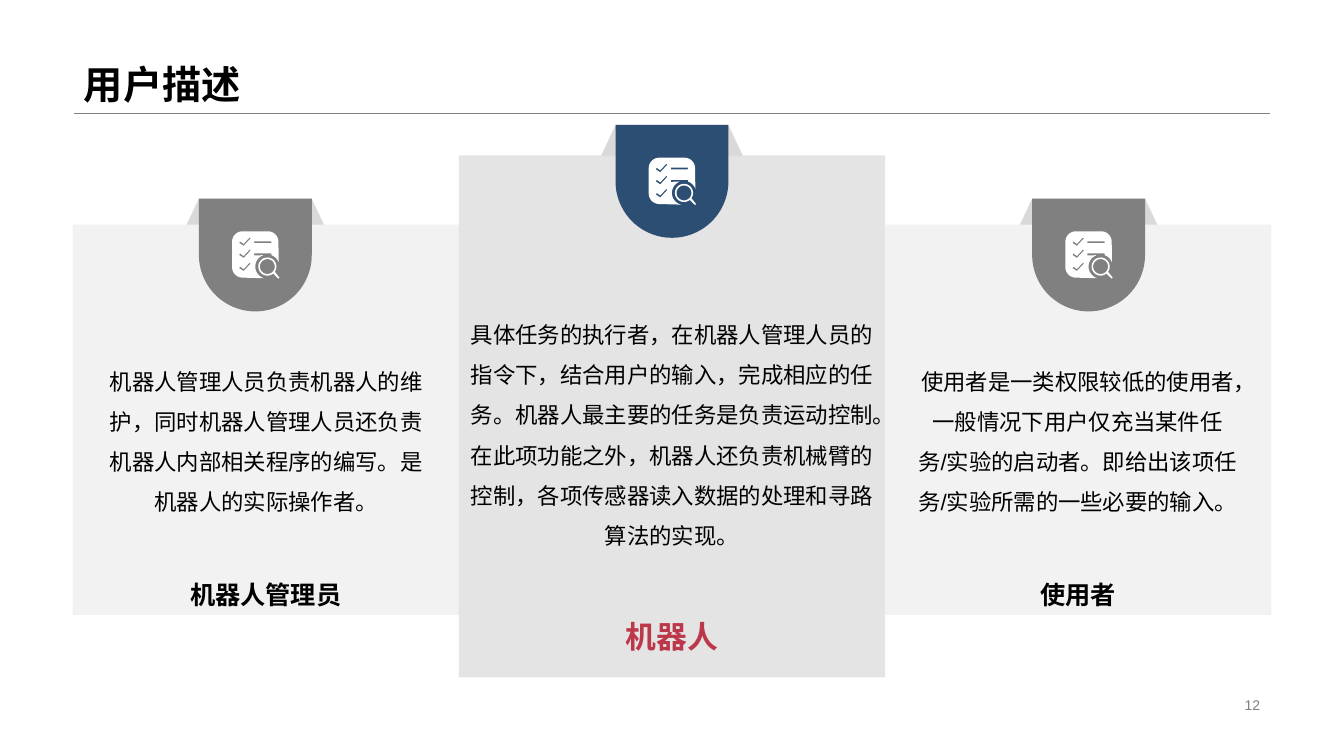
from dataclasses import dataclass
from math import cos, radians, sin

from lxml import etree
from pptx import Presentation
from pptx import util as u
from pptx.dml.color import RGBColor
from pptx.enum import lang, shapes, text
from pptx.oxml.ns import qn

BLACK = RGBColor(0x00, 0x00, 0x00)
WHITE = RGBColor(0xFF, 0xFF, 0xFF)
GREY = RGBColor(0x80, 0x80, 0x80)
SILVER = RGBColor(0xD9, 0xD9, 0xD9)
PALE = RGBColor(0xF2, 0xF2, 0xF2)
NAVY = RGBColor(0x2B, 0x4E, 0x72)
RED = RGBColor(0xBD, 0x37, 0x4A)

WIDTH, HEIGHT = u.Inches(13.33), u.Inches(7.5)
CENTRE, RIGHT = text.PP_ALIGN.CENTER, text.PP_ALIGN.RIGHT
BADGE_W, BADGE_H = 8.4, 14.93
TAB_W, TAB_H = 10.58, 4.13
Box = tuple[float, float, float, float]
Point = tuple[float, float]


@dataclass
class Role:
    """One user role; boxes are left, top, width, height in percent of the slide."""
    name: str
    description: str
    card: Box
    body: Box
    badge_centre: float
    badge_top: float
    badge_colour: RGBColor = GREY
    card_colour: RGBColor = PALE
    opacity: int = 100
    name_size: int = 18
    name_colour: RGBColor = BLACK
    bottom_inset: float = 0.05


ROLES = [
    Role("机器人管理员",
         "机器人管理人员负责机器人的维护，同时机器人管理人员还负责机器人内部相关程序的编写。是机器人的实际操作者。",
         (5.4, 29.73, 28.75, 51.6), (6.8, 42.8, 26.03, 29.47), 19, 26.27),
    Role("机器人",
         "具体任务的执行者，在机器人管理人员的指令下，结合用户的输入，完成相应的任务。机器人最主要的任务是负责运动控制。"
         "在此项功能之外，机器人还负责机械臂的控制，各项传感器读入数据的处理和寻路算法的实现。",
         (34.15, 20.55, 31.7, 69.05), (34.15, 37.2, 31.7, 38.93), 50, 16.53,
         NAVY, SILVER, 70, 22, RED, 0.23),
    Role("使用者",
         "使用者是一类权限较低的使用者，一般情况下用户仅充当某件任务/实验的启动者。即给出该项任务/实验所需的一些必要的输入。",
         (65.85, 29.73, 28.75, 51.6), (67.17, 42.8, 26.03, 29.47), 81, 26.27),
]


def across(share: float) -> u.Emu:
    return u.Emu(round(WIDTH * share / 100))


def down(share: float) -> u.Emu:
    return u.Emu(round(HEIGHT * share / 100))


def place(box: Box) -> tuple[u.Emu, ...]:
    left, top, width, height = box
    return across(left), down(top), across(width), down(height)


def write(frame, words: str, anchor, size: int, colour: RGBColor = BLACK,
          bold: bool = False, align=CENTRE, spacing: float = 1.0) -> None:
    frame.text = words
    paragraph = frame.paragraphs[0]
    run_font = paragraph.runs[0].font
    formats = (
        (frame, {"word_wrap": True, "auto_size": text.MSO_AUTO_SIZE.NONE,
                 "vertical_anchor": anchor}),
        (paragraph, {"alignment": align, "line_spacing": spacing}),
        (run_font, {"name": "Arial", "size": u.Pt(size), "bold": bold,
                    "language_id": lang.MSO_LANGUAGE_ID.SIMPLIFIED_CHINESE}),
    )
    for target, values in formats:
        for key, value in values.items():
            setattr(target, key, value)
    run_font.color.rgb = colour


def paint(shape, colour: RGBColor, opacity: int = 100) -> None:
    shape.shadow.inherit = False
    shape.line.fill.background()
    shape.fill.solid()
    shape.fill.fore_color.rgb = colour
    if opacity < 100:
        tone = shape.fill._xPr.find(qn("a:solidFill"))[0]
        etree.SubElement(tone, qn("a:alpha"), val=str(opacity * 1000))


def add_panel(slide, kind, box: Box, colour: RGBColor, adjustments=(), opacity: int = 100):
    panel = slide.shapes.add_shape(kind, *place(box))
    for index, value in enumerate(adjustments):
        panel.adjustments[index] = value
    paint(panel, colour, opacity)
    return panel


def add_words(slide, box: Box, words: str, size: int, **formats) -> None:
    frame = slide.shapes.add_textbox(*place(box)).text_frame
    write(frame, words, text.MSO_ANCHOR.MIDDLE, size, **formats)


def arc(x: float, y: float, radius: float, start: float, end: float) -> list[Point]:
    steps = max(6, round(abs(end - start) / 10))
    angles = [radians(start + (end - start) * i / steps) for i in range(steps + 1)]
    return [(x + radius * cos(a), y + radius * sin(a)) for a in angles]


def checklist_contours() -> list[list[Point]]:
    """Outlines of a checklist with a magnifier, in hundredths of an inch."""
    sheet = (arc(10.5, 10.5, 10.5, 180, 270) + arc(35.5, 10.5, 10.5, 270, 360)
             + arc(35, 35, 12, -20, -70) + [(39, 22), (22, 22), (22, 24)]
             + arc(35, 35, 12, -110, -255) + arc(10.5, 35.5, 10.5, 90, 180))
    ticks = [[(17.5, y), (11.5, y + 6.5), (8, y + 4), (7, y + 5.5),
              (11.5, y + 8.5), (18.5, y + 1)] for y in (6, 18, 31)]
    top_rule = [(22, 10), (39, 10), (39, 11.7), (22, 11.7)]
    magnifier = arc(35, 35, 9, 50, 395) + [(47, 46), (46, 47)]
    return [sheet, *ticks, top_rule, magnifier, arc(35, 35, 7.4, 0, 360)]


def add_checklist(slide, left: u.Emu, top: u.Emu) -> None:
    contours = [[(x * 100, y * 100) for x, y in c] for c in checklist_contours()]
    builder = slide.shapes.build_freeform(*contours[0][0], scale=u.Inches(1) / 10000)
    builder.add_line_segments(contours[0][1:], close=True)
    for contour in contours[1:]:
        builder.move_to(*contour[0])
        builder.add_line_segments(contour[1:], close=True)
    paint(builder.convert_to_shape(left, top), WHITE)


def add_role(slide, role: Role) -> None:
    kinds = shapes.MSO_SHAPE
    add_panel(slide, kinds.TRAPEZOID,
              (role.badge_centre - TAB_W / 2, role.badge_top, TAB_W, TAB_H), SILVER, (0.47,))
    card = add_panel(slide, kinds.RECTANGLE, role.card, role.card_colour, opacity=role.opacity)
    card.text_frame.margin_bottom = u.Inches(role.bottom_inset)
    write(card.text_frame, role.name, text.MSO_ANCHOR.BOTTOM, role.name_size,
          role.name_colour, bold=True)
    add_panel(slide, kinds.ROUND_2_SAME_RECTANGLE,
              (role.badge_centre - BADGE_W / 2, role.badge_top, BADGE_W, BADGE_H),
              role.badge_colour, (0, 0.5))
    add_checklist(slide, across(role.badge_centre - 1.73), down(role.badge_top + 4.33))
    add_words(slide, role.body, role.description, 16, spacing=1.5)


def add_heading(slide) -> None:
    title = slide.shapes.title
    title.left, title.top, title.width, title.height = place((5.5, 0, 89, 14.95))
    write(title.text_frame, "用户描述", text.MSO_ANCHOR.BOTTOM, 28, bold=True,
          align=text.PP_ALIGN.LEFT, spacing=0.9)
    rule = slide.shapes.add_connector(shapes.MSO_CONNECTOR.STRAIGHT, across(5.5),
                                      down(14.95), across(94.5), down(14.95))
    rule.line.color.rgb = GREY
    rule.line.width = u.Pt(0.25)
    etree.SubElement(rule._element.spPr, qn("a:effectLst"))


def main() -> None:
    deck = Presentation()
    deck.slide_width, deck.slide_height = WIDTH, HEIGHT
    slide = deck.slides.add_slide(deck.slide_layouts[5])
    add_heading(slide)
    add_words(slide, (70.67, 91.7, 23.83, 3.07), "12", 10, colour=GREY, align=RIGHT)
    for role in ROLES:
        add_role(slide, role)
    deck.save("out.pptx")


if __name__ == "__main__":
    main()
